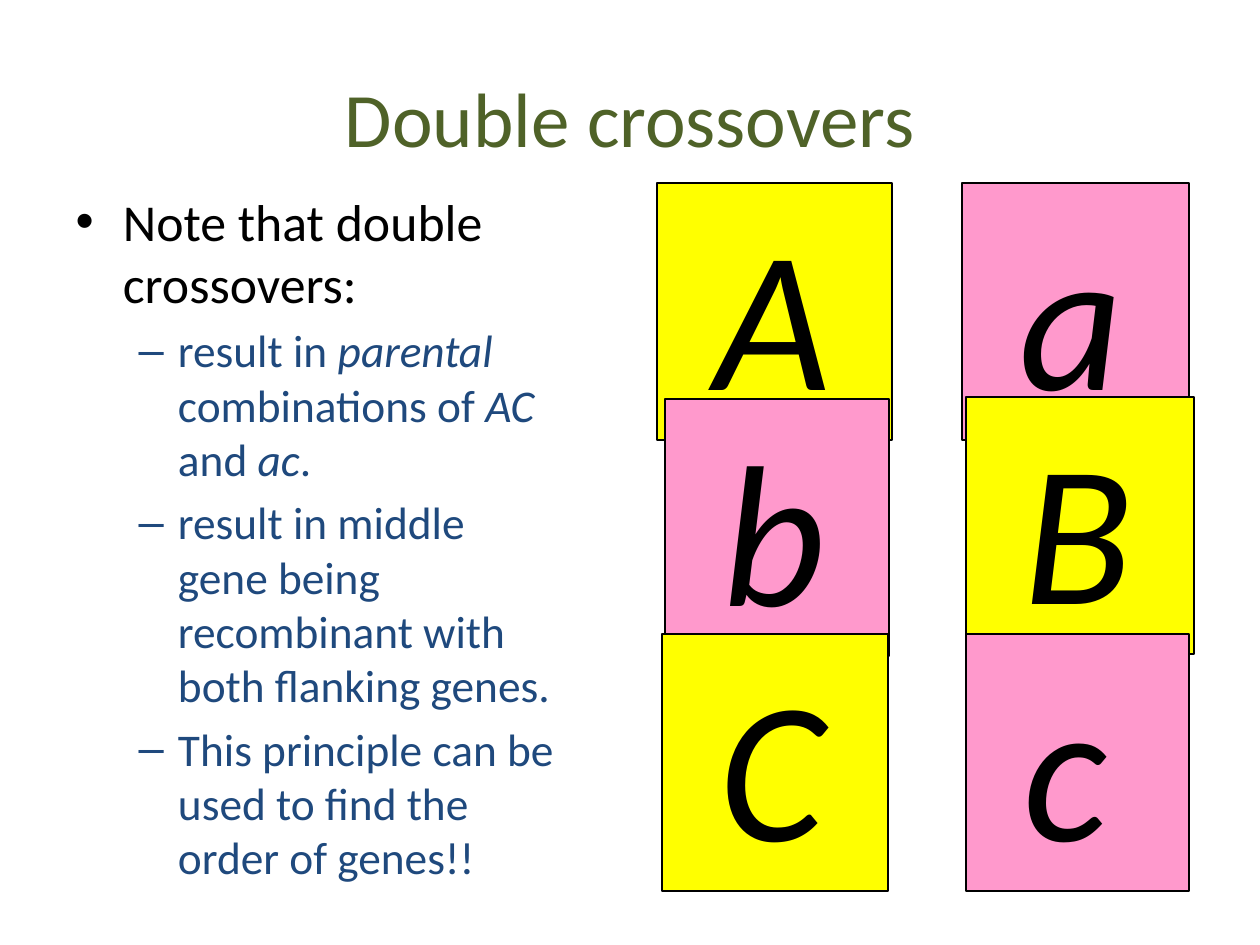
from dataclasses import dataclass

from pptx import Presentation
from pptx.dml.color import RGBColor
from pptx.enum.shapes import MSO_SHAPE
from pptx.enum.text import MSO_ANCHOR, MSO_AUTO_SIZE, PP_ALIGN
from pptx.util import Pt

RECTANGLE = MSO_SHAPE.RECTANGLE
TOP, MIDDLE = MSO_ANCHOR.TOP, MSO_ANCHOR.MIDDLE
LEFT, CENTER = PP_ALIGN.LEFT, PP_ALIGN.CENTER
NO_AUTOFIT = MSO_AUTO_SIZE.NONE
EMU_PER_PX = 914400 / 126


@dataclass(frozen=True)
class Theme:
    font: str = "Calibri"
    title: RGBColor = RGBColor(0x4F, 0x62, 0x28)
    point: RGBColor = RGBColor(0x1F, 0x49, 0x7D)
    black: RGBColor = RGBColor(0, 0, 0)
    yellow: RGBColor = RGBColor(0xFF, 0xFF, 0)
    pink: RGBColor = RGBColor(0xFF, 0x99, 0xCC)
    title_size: float = 44
    lead_size: float = 29.6
    point_size: float = 25.9
    allele_size: float = 115


def px(*lengths):
    """Turn pixel lengths into EMU."""
    return [round(length * EMU_PER_PX) for length in lengths]


def style(paragraph, size, color, italic=None):
    font = paragraph.font
    font.name, font.size, font.italic = theme.font, Pt(size), italic
    font.color.rgb = color


theme = Theme()
prs = Presentation()
prs.slide_width, prs.slide_height = px(1260, 945)
slide = prs.slides.add_slide(prs.slide_layouts[1])

# Title
title = slide.shapes.title
title.left, title.top, title.width, title.height = px(63, 38, 1134, 157)
title.text_frame.text = "Double crossovers"
title.text_frame.vertical_anchor = MIDDLE
title.text_frame.auto_size = NO_AUTOFIT
heading = title.text_frame.paragraphs[0]
heading.alignment = CENTER
style(heading, theme.title_size, theme.title)

# Notes on double crossovers; each run is a text and whether it is italic
body = slide.placeholders[1]
body.left, body.top, body.width, body.height = px(63, 183, 514, 661)
notes = body.text_frame
notes.auto_size = NO_AUTOFIT
lead = notes.paragraphs[0]
lead.text = "Note that double crossovers:"
lead.space_before = Pt(0)
style(lead, theme.lead_size, theme.black)

points = [
    [("result in ", False), ("parental", True), (" combinations of ", False),
     ("AC", True), (" and ", False), ("ac", True), (".", False)],
    [("result in middle gene being recombinant with both flanking genes.", False)],
    [("This principle can be used to find the order of genes!!", False)],
]
for runs in points:
    point = notes.add_paragraph()
    point.level = 1
    point.space_before = Pt(5)
    style(point, theme.point_size, theme.point)
    for words, italic in runs:
        run = point.add_run()
        run.text = words
        if italic:
            run.font.italic = True

# Alleles on the two chromatids, from back to front: left, top, width
ALLELE_HEIGHT = 257
alleles = [
    ("a", theme.pink, 962, 183, 227),
    ("A", theme.yellow, 657, 183, 235),
    ("B", theme.yellow, 966, 397, 228),
    ("b", theme.pink, 665, 399, 224),
    ("c", theme.pink, 966, 634, 223),
    ("C", theme.yellow, 662, 634, 226),
]
for letter, color, left, top, width in alleles:
    allele = slide.shapes.add_shape(RECTANGLE, *px(left, top, width, ALLELE_HEIGHT))
    allele.shadow.inherit = False
    allele.fill.solid()
    allele.fill.fore_color.rgb = color
    allele.line.color.rgb = theme.black
    allele.line.width = Pt(0.75)
    frame = allele.text_frame
    frame.vertical_anchor = TOP
    frame.margin_left, frame.margin_right = px(58, 0)
    frame.text = letter
    symbol = frame.paragraphs[0]
    symbol.alignment = LEFT
    style(symbol, theme.allele_size, theme.black, italic=True)

prs.save("out.pptx")
